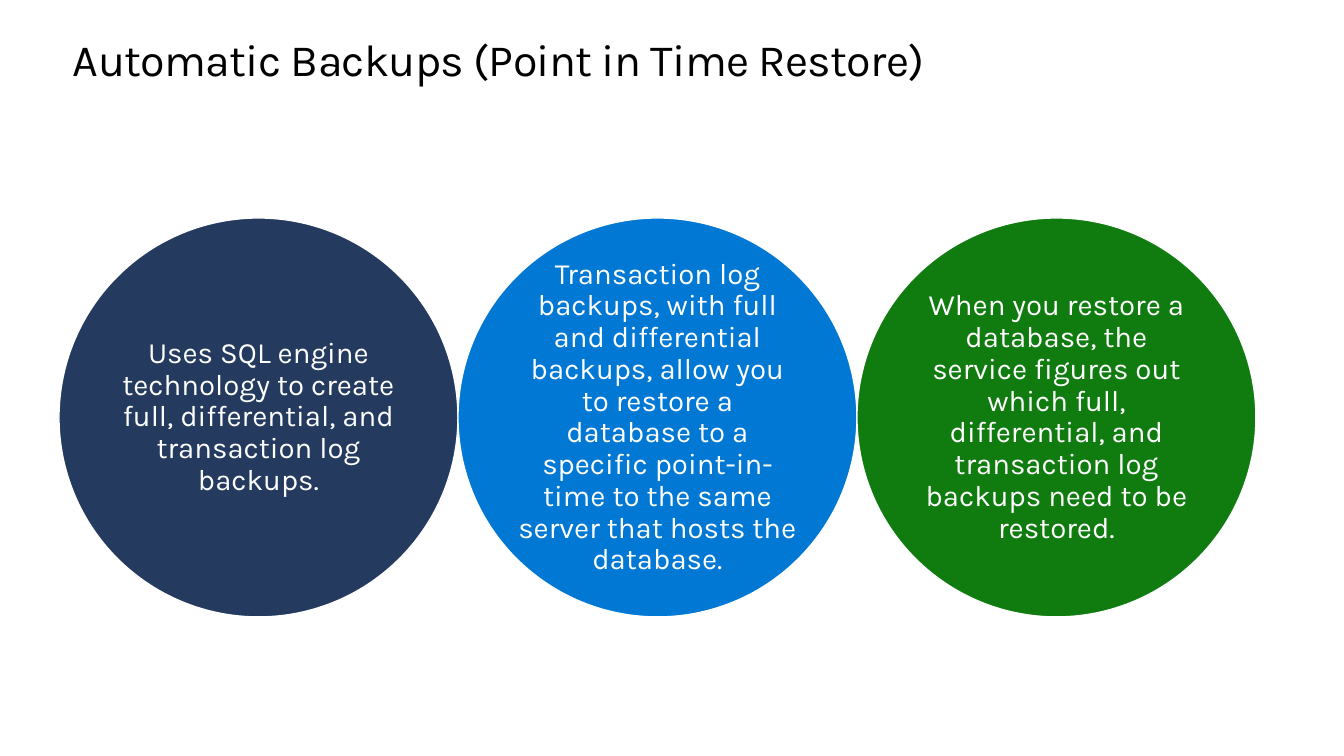
from dataclasses import dataclass

from pptx import Presentation
from pptx.dml.color import RGBColor
from pptx.enum.shapes import MSO_SHAPE
from pptx.enum.text import MSO_ANCHOR, MSO_AUTO_SIZE, PP_ALIGN
from pptx.util import Emu, Pt

TITLE = "Automatic Backups (Point in Time Restore)"
BACKUP_FACTS = [
    ("Uses SQL engine technology to create full, differential, and "
     "transaction log backups.", "243A5E"),
    ("Transaction log backups, with full and differential backups, allow you "
     "to restore a database to a specific point-in-time to the same server "
     "that hosts the database.", "0078D4"),
    ("When you restore a database, the service figures out which full, "
     "differential, and transaction log backups need to be restored.", "107C10"),
]


@dataclass(frozen=True)
class Theme:
    font: str = "Karla"
    title_size: float = 32
    title_leading: float = 36.2
    fact_size: float = 21
    fact_leading: float = 0.9
    ink: str = "000000"
    paper: str = "FFFFFF"


THEME = Theme()
SLIDE_SIZE = (1344, 756)
TITLE_BOX = (73, 35, 1200, 50)
CIRCLES_LEFT, CIRCLES_TOP, DIAMETER = 59, 218, 399


def px(length):
    return Emu(round(length * 914400 / 100.8))


def paint(shape, color):
    shape.fill.solid()
    shape.fill.fore_color.rgb = RGBColor.from_string(color)


def write(frame, text, size, color, align, leading, anchor):
    frame.word_wrap = True
    frame.vertical_anchor = anchor
    frame.margin_left = frame.margin_right = 0
    frame.margin_top = frame.margin_bottom = 0
    paragraph = frame.paragraphs[0]
    paragraph.alignment = align
    paragraph.line_spacing = leading
    run = paragraph.add_run()
    run.text = text
    run.font.name = THEME.font
    run.font.size = Pt(size)
    run.font.color.rgb = RGBColor.from_string(color)
    return run


def add_title(slide):
    title = slide.shapes.title
    title.left, title.top, title.width, title.height = map(px, TITLE_BOX)
    paint(title, THEME.paper)
    run = write(title.text_frame, TITLE, THEME.title_size, THEME.ink,
                PP_ALIGN.LEFT, Pt(THEME.title_leading), MSO_ANCHOR.TOP)
    run.font._element.set("spc", "-50")
    title.text_frame.auto_size = MSO_AUTO_SIZE.SHAPE_TO_FIT_TEXT


def add_fact(slide, position, fact, color):
    left = CIRCLES_LEFT + position * DIAMETER
    circle = slide.shapes.add_shape(
        MSO_SHAPE.OVAL, px(left), px(CIRCLES_TOP), px(DIAMETER), px(DIAMETER))
    circle.shadow.inherit = False
    paint(circle, color)
    circle.line.color.rgb = RGBColor.from_string(THEME.paper)
    circle.line.width = Pt(1)
    write(circle.text_frame, fact, THEME.fact_size, THEME.paper,
          PP_ALIGN.CENTER, THEME.fact_leading, MSO_ANCHOR.MIDDLE)


def main():
    deck = Presentation()
    deck.slide_width, deck.slide_height = map(px, SLIDE_SIZE)
    slide = deck.slides.add_slide(deck.slide_layouts.get_by_name("Title Only"))
    add_title(slide)
    for position, (fact, color) in enumerate(BACKUP_FACTS):
        add_fact(slide, position, fact, color)
    deck.save("out.pptx")


if __name__ == "__main__":
    main()
